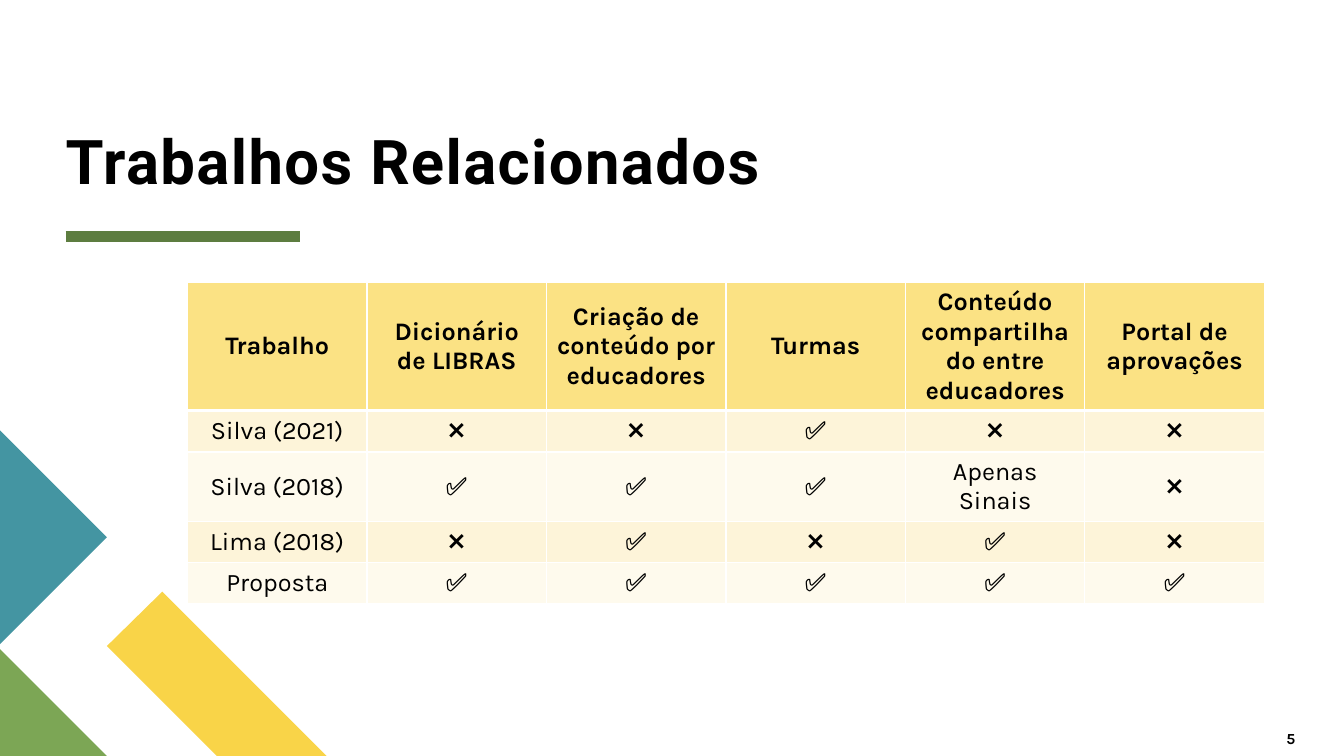
from lxml.etree import SubElement
from pptx import Presentation
from pptx.dml.color import RGBColor
from pptx.enum.shapes import MSO_CONNECTOR
from pptx.enum.text import MSO_ANCHOR, PP_ALIGN
from pptx.oxml.ns import qn
from pptx.util import Inches, Pt

HEADS = ["Trabalho", "Dicionário de LIBRAS", "Criação de conteúdo por educadores",
         "Turmas", "Conteúdo compartilhado entre educadores", "Portal de aprovações"]
ROWS = [
    ["Silva (2021)", "❌", "❌", "✅", "❌", "❌"],
    ["Silva (2018)", "✅", "✅", "✅", "Apenas Sinais", "❌"],
    ["Lima (2018)", "❌", "✅", "❌", "✅", "❌"],
    ["Proposta", "✅", "✅", "✅", "✅", "✅"],
]
HEIGHTS = [1.26, 0.41, 0.69, 0.41, 0.41]
BANDS = ["FEFAED", "FDF4D9"]
SHAPES = [
    ("F9D448", [(3.24, 7.5), (2.15, 7.5), (1.06, 6.41), (1.61, 5.87)]),
    ("7CA655", [(1.06, 7.5), (0, 7.5), (0, 6.44)]),
    ("4495A2", [(0, 4.27), (1.06, 5.33), (0, 6.39)]),
]


def color(code):
    """Turn a hex string into a colour."""
    return RGBColor.from_string(code)


def style(para, size, name, bold):
    """Set the black font of a paragraph."""
    font = para.font
    font.size, font.name, font.bold = Pt(size), name, bold
    font.color.rgb = color("000000")


def clear(frame):
    """Remove the margins of a text frame."""
    frame.margin_left = frame.margin_right = 0
    frame.margin_top = frame.margin_bottom = 0


def add_title(slide, text):
    """Fill and place the title placeholder."""
    title = slide.shapes.title
    title.left, title.top = Inches(0.65), Inches(0.11)
    title.width, title.height = Inches(11.89), Inches(1.84)
    frame = title.text_frame
    clear(frame)
    frame.word_wrap = True
    frame.vertical_anchor = MSO_ANCHOR.BOTTOM
    para = frame.paragraphs[0]
    run = para.add_run()
    run.text = text
    run.font._element.set("spc", "100")
    para.alignment = PP_ALIGN.LEFT
    para.line_spacing = 0.8
    style(para, 44, "Roboto", True)


def add_rule(slide):
    """Draw the thick line under the title."""
    rule = slide.shapes.add_connector(
        MSO_CONNECTOR.STRAIGHT, Inches(0.65), Inches(2.35), Inches(2.98), Inches(2.35))
    rule.line.color.rgb = color("5D7D40")
    rule.line.width = Pt(8)
    SubElement(rule._element.spPr, qn("a:effectLst"))


def add_shape(slide, fill, points):
    """Draw a filled polygon without outline."""
    spots = [(Inches(x), Inches(y)) for x, y in points]
    path = slide.shapes.build_freeform(*spots[0])
    path.add_line_segments(spots[1:], close=True)
    shape = path.convert_to_shape()
    shape.shadow.inherit = False
    shape.fill.solid()
    shape.fill.fore_color.rgb = color(fill)
    shape.line.fill.background()


def add_border(cell, side, width):
    """Add a white border on one side of a cell."""
    line = SubElement(cell._tc.get_or_add_tcPr(), qn("a:ln" + side), w=str(Pt(width)))
    fill = SubElement(line, qn("a:solidFill"))
    SubElement(fill, qn("a:srgbClr"), val="FFFFFF")


def fill_cell(cell, text, row):
    """Write and format one cell by its row."""
    head = row == 0
    cell.text = text
    cell.vertical_anchor = MSO_ANCHOR.MIDDLE
    para = cell.text_frame.paragraphs[0]
    para.alignment = PP_ALIGN.CENTER
    style(para, 18, "Karla", head)
    widths = {"L": 1, "R": 1, "T": 3 if row == 1 else 1, "B": 3 if head else 1}
    for side, width in widths.items():
        add_border(cell, side, width)
    cell.fill.solid()
    cell.fill.fore_color.rgb = color("FBE284" if head else BANDS[row % 2])


def add_grid(slide):
    """Build the comparison table."""
    data = [HEADS] + ROWS
    grid = slide.shapes.add_table(
        len(data), len(HEADS), Inches(1.86), Inches(2.8),
        Inches(10.68), Inches(sum(HEIGHTS))).table
    for r, (texts, height) in enumerate(zip(data, HEIGHTS)):
        grid.rows[r].height = Inches(height)
        for c, text in enumerate(texts):
            fill_cell(grid.cell(r, c), text, r)


def add_number(slide, text):
    """Write the slide number."""
    box = slide.shapes.add_textbox(Inches(12.76), Inches(7.23), Inches(0.57), Inches(0.27))
    frame = box.text_frame
    clear(frame)
    frame.word_wrap = True
    frame.text = text
    style(frame.paragraphs[0], 11, "Karla", True)


def main():
    """Build and save the slide."""
    deck = Presentation()
    deck.slide_width, deck.slide_height = Inches(13.33), Inches(7.5)
    slide = deck.slides.add_slide(deck.slide_layouts.get_by_name("Title Only"))
    add_rule(slide)
    add_title(slide, "Trabalhos Relacionados")
    for fill, points in SHAPES:
        add_shape(slide, fill, points)
    add_grid(slide)
    add_number(slide, "5")
    deck.save("out.pptx")


if __name__ == "__main__":
    main()
